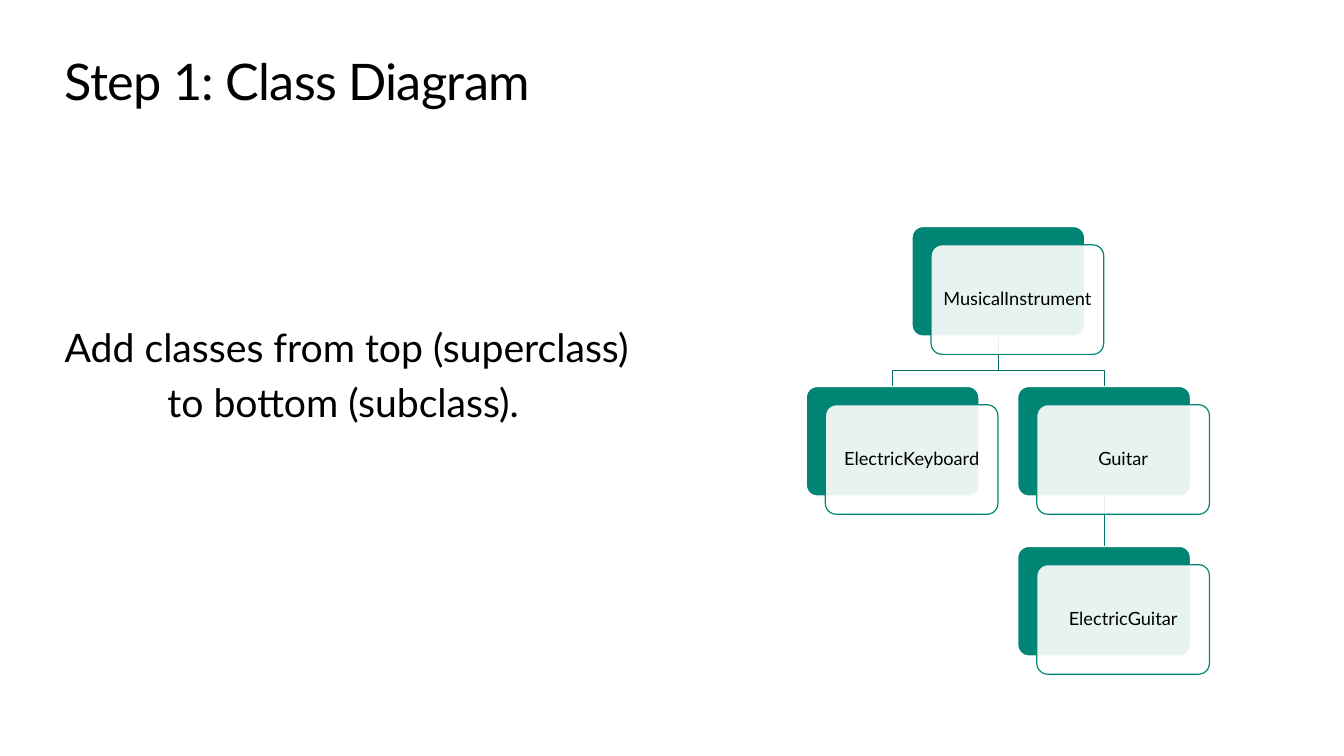
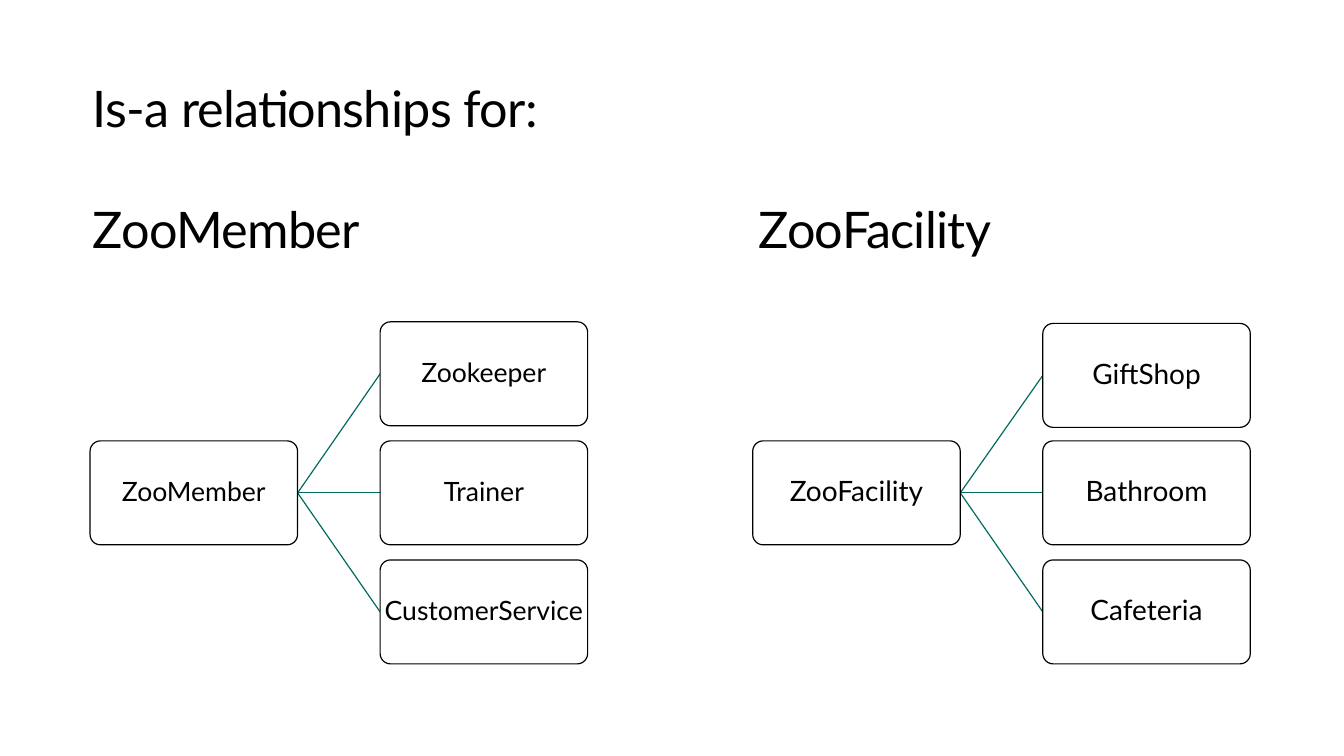
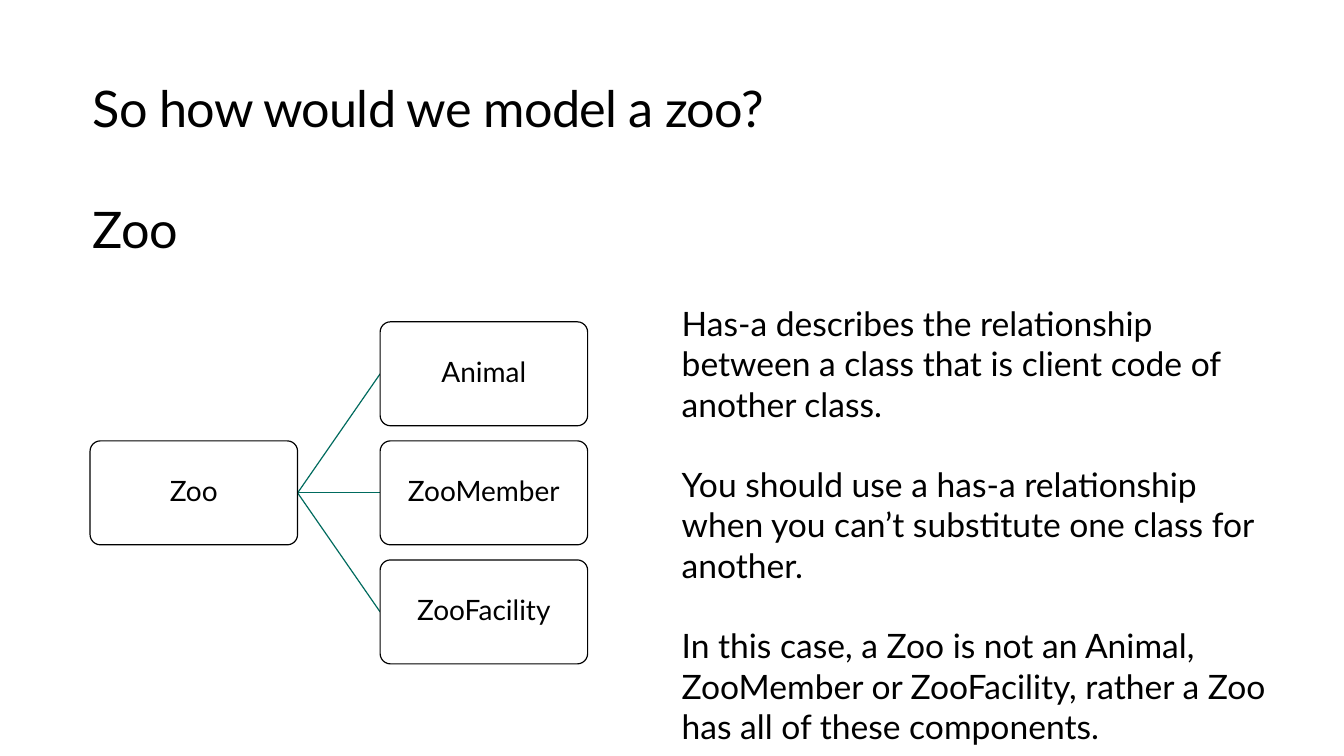
from lxml import etree
from pptx import Presentation
from pptx.dml.color import RGBColor
from pptx.enum.shapes import MSO_CONNECTOR, MSO_SHAPE
from pptx.enum.text import MSO_ANCHOR, PP_ALIGN
from pptx.oxml.ns import qn
from pptx.util import Cm, Pt

STRAIGHT = MSO_CONNECTOR.STRAIGHT
ROUNDED = MSO_SHAPE.ROUNDED_RECTANGLE
MIDDLE = MSO_ANCHOR.MIDDLE
CENTER = PP_ALIGN.CENTER

FONT = "Lato"
BLACK = "000000"
WHITE = "FFFFFF"
TEAL = "008575"
DARK_TEAL = "006B5E"
MID_TEAL = "00796A"
LINE_WIDTH = Pt(0.85)

TITLE_SIZE = 36
TITLE_LEFT = 2.34
TITLE_TOP = 1.95
HEADING_TOP = 5
TITLE_HEIGHT = 1.54

CARD_WIDTH, CARD_HEIGHT = 4.35, 2.76
CARD_SHIFT_X, CARD_SHIFT_Y = 0.48, 0.46
CARD_PITCH_X, CARD_PITCH_Y = 5.33, 4.03

NODE_WIDTH, NODE_HEIGHT = 5.23, 2.62
NODE_PITCH_X, NODE_PITCH_Y = 7.31, 3
TREE_TOP = 8.11


def color(code):
    """Turn a hex string into a colour."""
    return RGBColor.from_string(code)


def style_text(frame, size, margin=0.0):
    """Give a text frame the shared font, with equal margins in cm."""
    frame.word_wrap = True
    frame.margin_left = frame.margin_right = Cm(margin)
    frame.margin_top = frame.margin_bottom = Cm(margin)
    for para in frame.paragraphs:
        for span in para.runs:
            span.font.name = FONT
            span.font.size = Pt(size)
            span.font.color.rgb = color(BLACK)


def add_text(page, left, top, width, height, text, size):
    """Add a text box without margins and return its frame."""
    box = page.shapes.add_textbox(Cm(left), Cm(top), Cm(width), Cm(height))
    box.text_frame.text = text
    style_text(box.text_frame, size)
    return box.text_frame


def add_title(page, text, left=TITLE_LEFT, top=TITLE_TOP, width=29.2):
    """Add one line in the title style."""
    frame = add_text(page, left, top, width, TITLE_HEIGHT, text, TITLE_SIZE)
    for span in frame.paragraphs[0].runs:
        span.font._element.set("spc", "-50")


def add_path(page, points, line=DARK_TEAL):
    """Join points with a connector, or with an open outline if it bends."""
    start, *others = [(Cm(x), Cm(y)) for x, y in points]
    if len(others) == 1:
        link = page.shapes.add_connector(STRAIGHT, *start, *others[0])
    else:
        outline = page.shapes.build_freeform(*start)
        outline.add_line_segments(others, close=False)
        link = outline.convert_to_shape()
        link.fill.background()
    link.line.color.rgb = color(line)
    link.line.width = LINE_WIDTH
    etree.SubElement(link._element.spPr, qn("a:effectLst"))


def add_panel(page, left, top, width, height, fill, line):
    """Add a rounded rectangle with a thin outline."""
    panel = page.shapes.add_shape(ROUNDED, Cm(left), Cm(top), Cm(width), Cm(height))
    panel.adjustments[0] = 0.1
    panel.shadow.inherit = False
    panel.fill.solid()
    panel.fill.fore_color.rgb = color(fill)
    panel.line.color.rgb = color(line)
    panel.line.width = LINE_WIDTH
    return panel


def add_label(panel, text, size, margin):
    """Write a centred label in a panel."""
    frame = panel.text_frame
    frame.text = text
    frame.vertical_anchor = MIDDLE
    frame.paragraphs[0].alignment = CENTER
    frame.paragraphs[0].line_spacing = 0.9
    style_text(frame, size, margin)


def add_card(page, left, top, text):
    """Add a teal card with a translucent labelled card shifted over it."""
    add_panel(page, left, top, CARD_WIDTH, CARD_HEIGHT, TEAL, WHITE)
    front = add_panel(page, left + CARD_SHIFT_X, top + CARD_SHIFT_Y,
                      CARD_WIDTH, CARD_HEIGHT, WHITE, TEAL)
    tint = front._element.spPr.find(qn("a:solidFill"))[0]
    etree.SubElement(tint, qn("a:alpha")).set("val", "90000")
    add_label(front, text, 13, 0.2)


def add_class_hierarchy(page, left, top):
    """Draw the instrument classes, each placed by column and row."""
    cards = {
        "MusicalInstrument": (0.5, 0),
        "ElectricKeyboard": (0, 1),
        "Guitar": (1, 1),
        "ElectricGuitar": (1, 2),
    }
    links = [
        ("Guitar", "ElectricGuitar", MID_TEAL),
        ("MusicalInstrument", "Guitar", DARK_TEAL),
        ("MusicalInstrument", "ElectricKeyboard", DARK_TEAL),
    ]
    corners = {name: (left + column * CARD_PITCH_X, top + row * CARD_PITCH_Y)
               for name, (column, row) in cards.items()}
    for parent, child, line in links:
        start_x, end_x = (corners[name][0] + CARD_WIDTH / 2 for name in (parent, child))
        start_y, end_y = corners[parent][1] + CARD_HEIGHT, corners[child][1]
        points = [(start_x, start_y), (end_x, end_y)]
        if start_x != end_x:
            bend_y = end_y - 0.41
            points[1:1] = [(start_x, bend_y), (end_x, bend_y)]
        add_path(page, points, line)
    for name, corner in corners.items():
        add_card(page, *corner, name)


def add_tree(page, left, top, root, children, size, first_drop=0.0):
    """Draw a root class fanning out to a column of classes on its right."""
    root_top = top + NODE_PITCH_Y * (len(children) - 1) / 2
    hub = (left + NODE_WIDTH, root_top + NODE_HEIGHT / 2)
    child_left = left + NODE_PITCH_X
    nodes = [(root, left, root_top)]
    for row, child in enumerate(children):
        child_top = top + (row * NODE_PITCH_Y or first_drop)
        nodes.append((child, child_left, child_top))
        add_path(page, [hub, (child_left, child_top + NODE_HEIGHT / 2)])
    for text, node_left, node_top in nodes:
        node = add_panel(page, node_left, node_top, NODE_WIDTH, NODE_HEIGHT, WHITE, BLACK)
        add_label(node, text, size, 0.03)


def build_class_diagram(page):
    """Build the slide with the instrument class diagram."""
    add_title(page, "Step 1: Class Diagram", 1.63, 1.27, 30.6)
    text = "Add classes from top (superclass)\nto bottom (subclass)."
    frame = add_text(page, 1.63, 8.14, 16, 2.6, text, 28)
    second = frame.paragraphs[1]
    second.space_before = Pt(5.6)
    second._p.get_or_add_pPr().set("marL", str(Cm(2.59)))
    add_class_hierarchy(page, 20.32, 5.71)


def build_is_a(page):
    """Build the slide with the two is-a trees."""
    add_title(page, "Is-a relationships for:")
    add_title(page, "ZooMember", top=HEADING_TOP, width=14)
    add_title(page, "ZooFacility", 19.12, HEADING_TOP, 12.4)
    add_tree(page, 2.27, TREE_TOP, "ZooMember",
             ["Zookeeper", "Trainer", "CustomerService"], 19)
    add_tree(page, 18.97, TREE_TOP, "ZooFacility",
             ["GiftShop", "Bathroom", "Cafeteria"], 20, first_drop=0.04)


def build_has_a(page):
    """Build the slide with the has-a tree and its explanation."""
    add_title(page, "So how would we model a zoo?")
    add_title(page, "Zoo", top=HEADING_TOP, width=14)
    add_tree(page, 2.27, TREE_TOP, "Zoo", ["Animal", "ZooMember", "ZooFacility"], 20)
    notes = [
        "Has-a describes the relationship between a class that is client code of another class.",
        "You should use a has-a relationship when you can’t substitute one class for another.",
        "In this case, a Zoo is not an Animal, ZooMember or ZooFacility, "
        "rather a Zoo has all of these components.",
    ]
    frame = add_text(page, 17.18, 7.63, 14.8, 11.3, "\n".join(notes), 24)
    for para in frame.paragraphs[1:]:
        para.space_before = Pt(28.8)


def main():
    """Build and save the deck."""
    deck = Presentation()
    deck.slide_width, deck.slide_height = Cm(33.87), Cm(19.05)
    for build in (build_class_diagram, build_is_a, build_has_a):
        build(deck.slides.add_slide(deck.slide_layouts[6]))
    deck.save("out.pptx")


if __name__ == "__main__":
    main()
